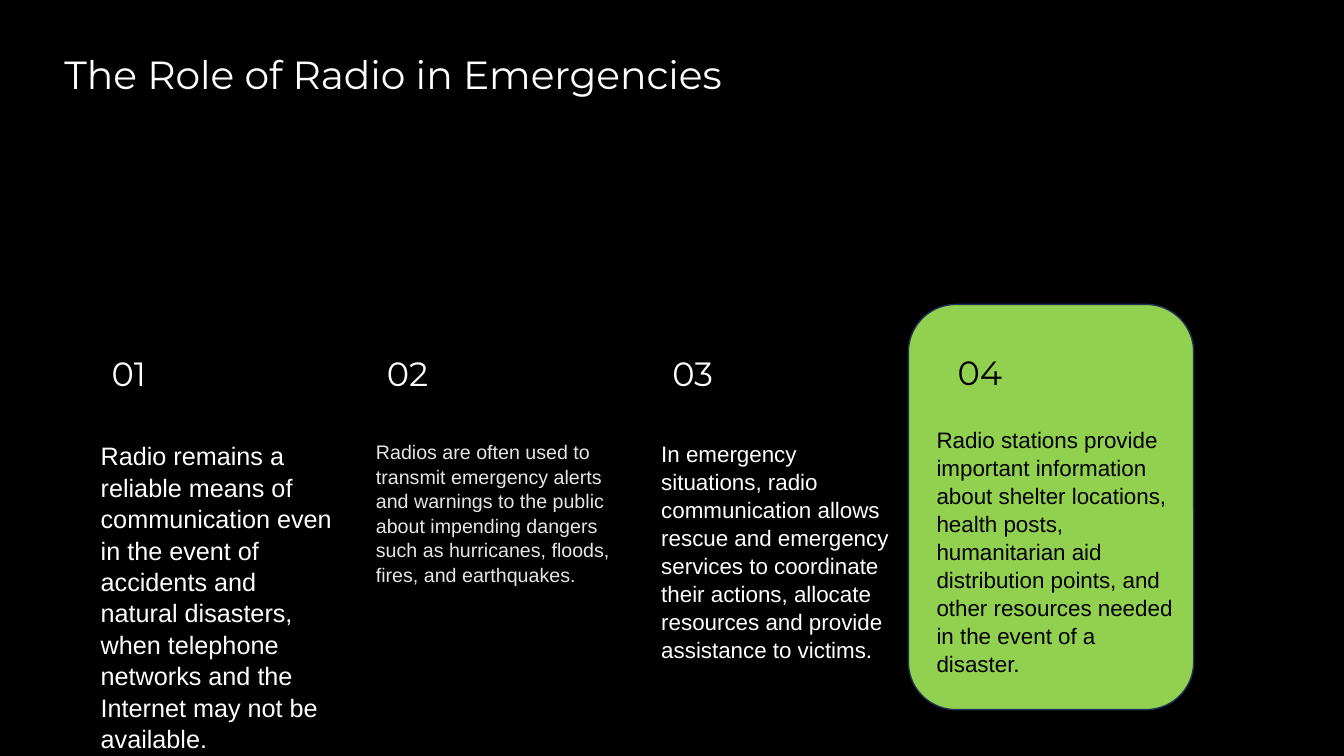
from pptx import Presentation
from pptx.dml.color import RGBColor
from pptx.enum.shapes import MSO_SHAPE
from pptx.util import Inches, Pt

WIDTH, HEIGHT = 13.33, 7.5
WHITE, BLACK, PALE, GREEN, NAVY = "FFFFFF", "000000", "E7E6E6", "92D050", "1E3256"
BODY_WIDTH = 2.55

# Number, left and top of the column, body height, size, number colour, body colour, number indent, text
COLUMNS = [
    ("01", 0.9, 3.45, 4.31, 2.83, 18, WHITE, WHITE, 0.11,
     "Radio remains a reliable means of communication even in the event of accidents and "
     "natural disasters, when telephone networks and the Internet may not be available."),
    ("02", 3.63, 3.45, 4.31, 1.75, 14, WHITE, PALE, 0.11,
     "Radios are often used to transmit emergency alerts and warnings to the public about "
     "impending dangers such as hurricanes, floods, fires, and earthquakes."),
    ("03", 6.46, 3.45, 4.31, 2.26, 16, WHITE, WHITE, 0.11,
     "In emergency situations, radio communication allows rescue and emergency services to "
     "coordinate their actions, allocate resources and provide assistance to victims."),
    ("04", 9.19, 3.44, 4.17, 2.26, 16, BLACK, BLACK, 0.21,
     "Radio stations provide important information about shelter locations, health posts, "
     "humanitarian aid distribution points, and other resources needed in the event of a disaster."),
]


def color(value):
    return RGBColor.from_string(value)


def add_panel(slide, kind, box, fill, line=None):
    panel = slide.shapes.add_shape(kind, *map(Inches, box))
    panel.shadow.inherit = False
    panel.fill.solid()
    panel.fill.fore_color.rgb = color(fill)
    if line:
        panel.line.color.rgb = color(line)
        panel.line.width = Pt(1)
    else:
        panel.line.fill.background()


def add_text(slide, box, text, size, font, ink, spacing=None):
    frame = slide.shapes.add_textbox(*map(Inches, box)).text_frame
    frame.word_wrap = True
    para = frame.paragraphs[0]
    para.line_spacing = spacing
    span = para.add_run()
    span.text = text
    for name, value in {"name": font, "size": Pt(size)}.items():
        setattr(span.font, name, value)
    span.font.color.rgb = color(ink)


def add_column(slide, number, left, number_top, body_top, height, size,
               number_ink, body_ink, indent, text):
    add_text(slide, (left + indent, number_top, 1.06, 0.5), number, 24, "Montserrat", number_ink)
    add_text(slide, (left, body_top, BODY_WIDTH, height), text, size, "Arial", body_ink, 1.045)


def build_slide(deck):
    slide = deck.slides.add_slide(deck.slide_layouts[6])
    # Backdrop and highlighted card
    add_panel(slide, MSO_SHAPE.RECTANGLE, (0, 0, WIDTH, HEIGHT), BLACK)
    add_panel(slide, MSO_SHAPE.ROUNDED_RECTANGLE, (9.01, 3.02, 2.83, 4.02), GREEN, NAVY)
    # Title
    add_text(slide, (0.54, 0.45, 9.95, 0.57), "The Role of Radio in Emergencies",
             28, "Montserrat", WHITE)
    # Numbered columns
    for column in COLUMNS:
        add_column(slide, *column)


def main():
    deck = Presentation()
    deck.slide_width, deck.slide_height = Inches(WIDTH), Inches(HEIGHT)
    build_slide(deck)
    deck.save("out.pptx")


if __name__ == "__main__":
    main()
